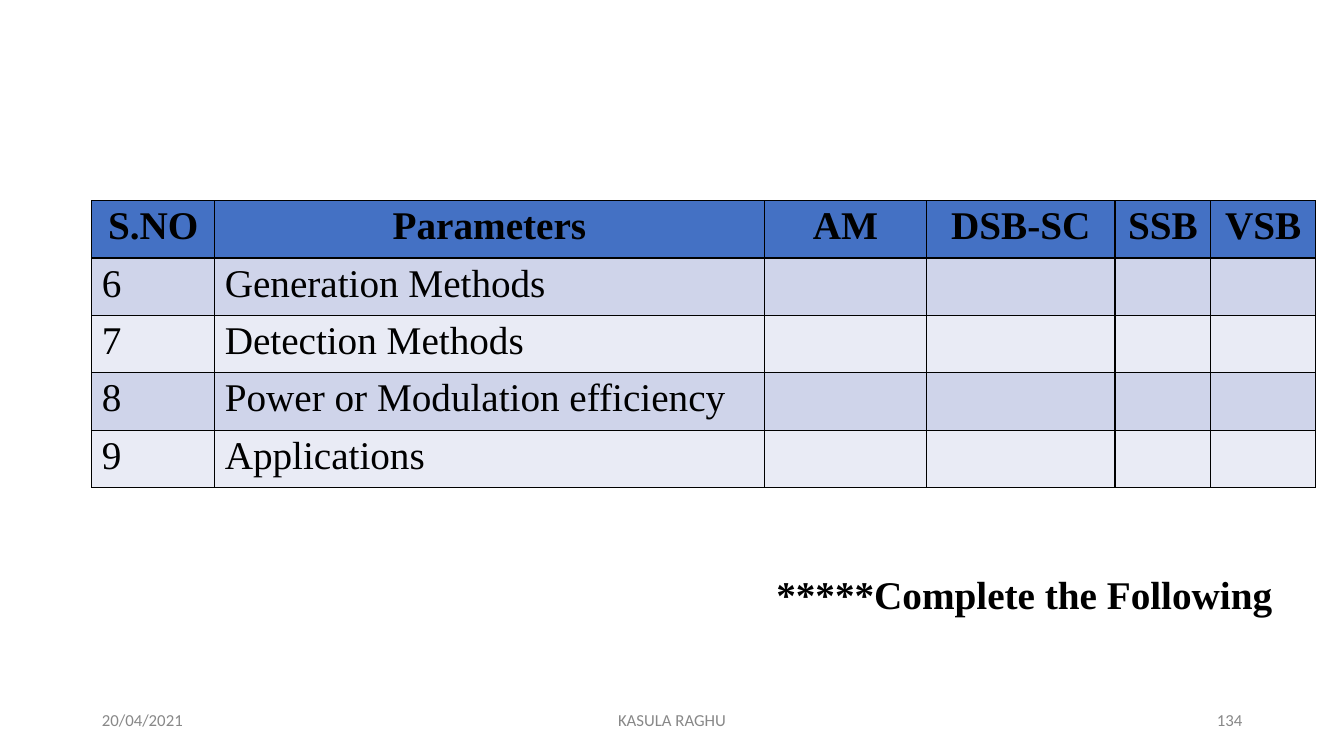
import pptx
import pptx.dml.color
import pptx.enum.text
import pptx.oxml
import pptx.oxml.ns
import pptx.util

PX = 9144  # 100 px to the inch
THEME = {
    "header": "4471C4", "bands": ("CFD4EA", "E9EBF5"),
    "ink": "000000", "muted": "888888",
    "serif": "Times New Roman", "sans": "Calibri",
    "body_size": 28, "footer_size": 12,
}
ALIGN = pptx.enum.text.PP_ALIGN


def color(name):
    return pptx.dml.color.RGBColor.from_string(name)


def add_run(paragraph, text, font, size, ink, bold=False):
    run = paragraph.add_run()
    run.text = text
    run.font.name = font
    run.font.size = pptx.util.Pt(size)
    run.font.bold = bold
    run.font.color.rgb = color(ink)


presentation = pptx.Presentation()
presentation.slide_width = 1333 * PX
presentation.slide_height = 750 * PX
slide = presentation.slides.add_slide(presentation.slide_layouts[6])

# Comparison table
columns = [("S.NO", 122), ("Parameters", 545), ("AM", 161),
           ("DSB-SC", 187), ("SSB", 95), ("VSB", 104)]
parameters = ["Generation Methods", "Detection Methods",
              "Power or Modulation efficiency", "Applications"]
rows = [[heading for heading, width in columns]]
for number, parameter in enumerate(parameters, start=6):
    rows.append([str(number), parameter, "", "", "", ""])

row_height = 57
table_width = sum(width for heading, width in columns)
table = slide.shapes.add_table(
    len(rows), len(columns), 91 * PX, 199 * PX,
    table_width * PX, row_height * len(rows) * PX).table
for column, (heading, width) in zip(table.columns, columns):
    column.width = width * PX

for row_index, texts in enumerate(rows):
    is_header = row_index == 0
    fill = THEME["header"] if is_header else THEME["bands"][(row_index - 1) % 2]
    for column_index, text in enumerate(texts):
        cell = table.cell(row_index, column_index)
        cell.margin_left = 0 if is_header else 10 * PX
        cell.margin_right = cell.margin_bottom = 0
        cell.margin_top = 4 * PX
        if text:
            paragraph = cell.text_frame.paragraphs[0]
            paragraph.alignment = ALIGN.CENTER if is_header else ALIGN.LEFT
            paragraph.space_before = pptx.util.Pt(2.8)
            add_run(paragraph, text, THEME["serif"], THEME["body_size"],
                    THEME["ink"], is_header)
        # Borders come before the fill in the cell properties
        properties = cell._tc.get_or_add_tcPr()
        for side in ("lnL", "lnR", "lnT", "lnB"):
            properties.append(pptx.oxml.parse_xml(
                f'<a:{side} {pptx.oxml.ns.nsdecls("a")} w="12700"><a:solidFill>'
                f'<a:srgbClr val="{THEME["ink"]}"/></a:solidFill></a:{side}>'))
        cell.fill.solid()
        cell.fill.fore_color.rgb = color(fill)

# Footer and closing note
footer_style = (THEME["sans"], THEME["footer_size"], THEME["muted"])
note_style = (THEME["serif"], THEME["body_size"], THEME["ink"], True)
labels = [
    ("20/04/2021", 101, 707, 84, 19, footer_style),
    ("KASULA RAGHU", 613, 707, 112, 19, footer_style),
    ("134", 1207, 707, 33, 19, footer_style),
    ("*****Complete the Following", 770, 566, 500, 48, note_style),
]
for text, left, top, width, height, style in labels:
    box = slide.shapes.add_textbox(left * PX, top * PX, width * PX, height * PX)
    frame = box.text_frame
    frame.word_wrap = True
    frame.margin_left = frame.margin_right = 0
    frame.margin_top = frame.margin_bottom = 0
    paragraph = frame.paragraphs[0]
    if style is footer_style:
        paragraph.line_spacing = pptx.util.Pt(12.4)
    add_run(paragraph, text, *style)

presentation.save("out.pptx")
